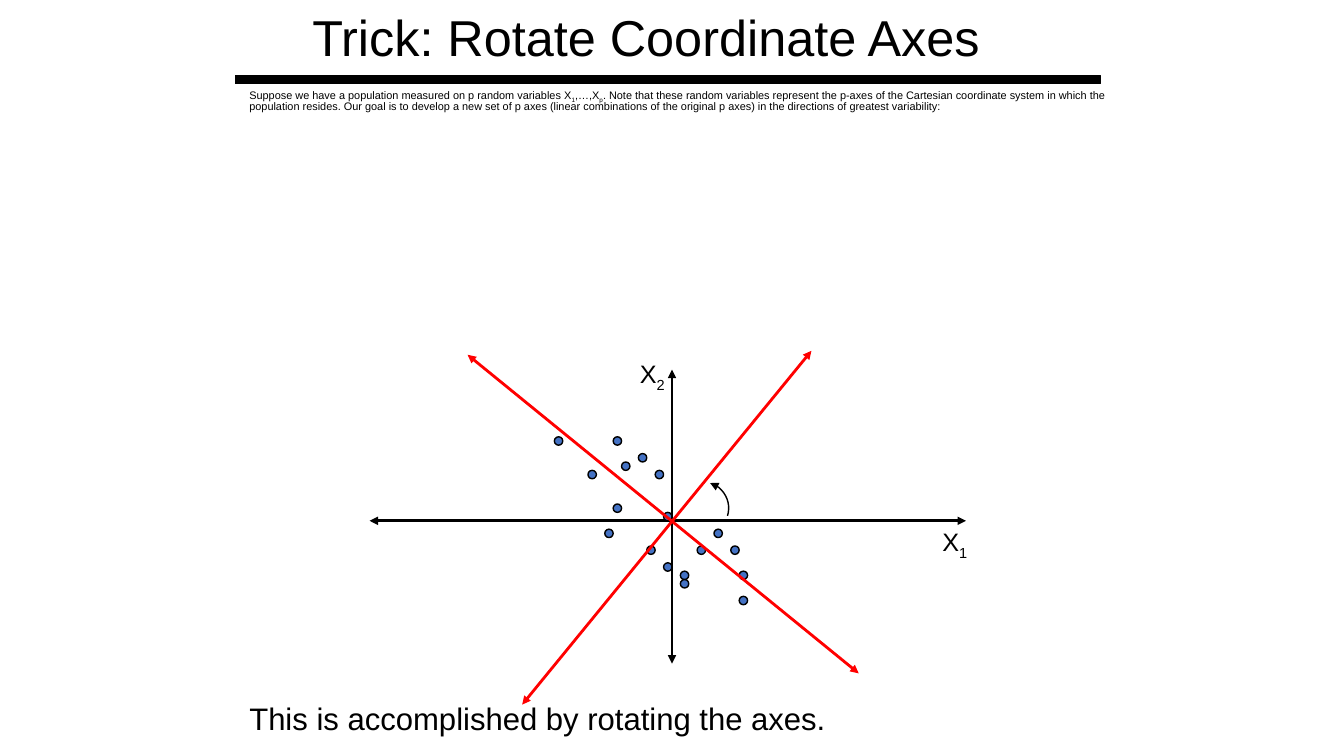
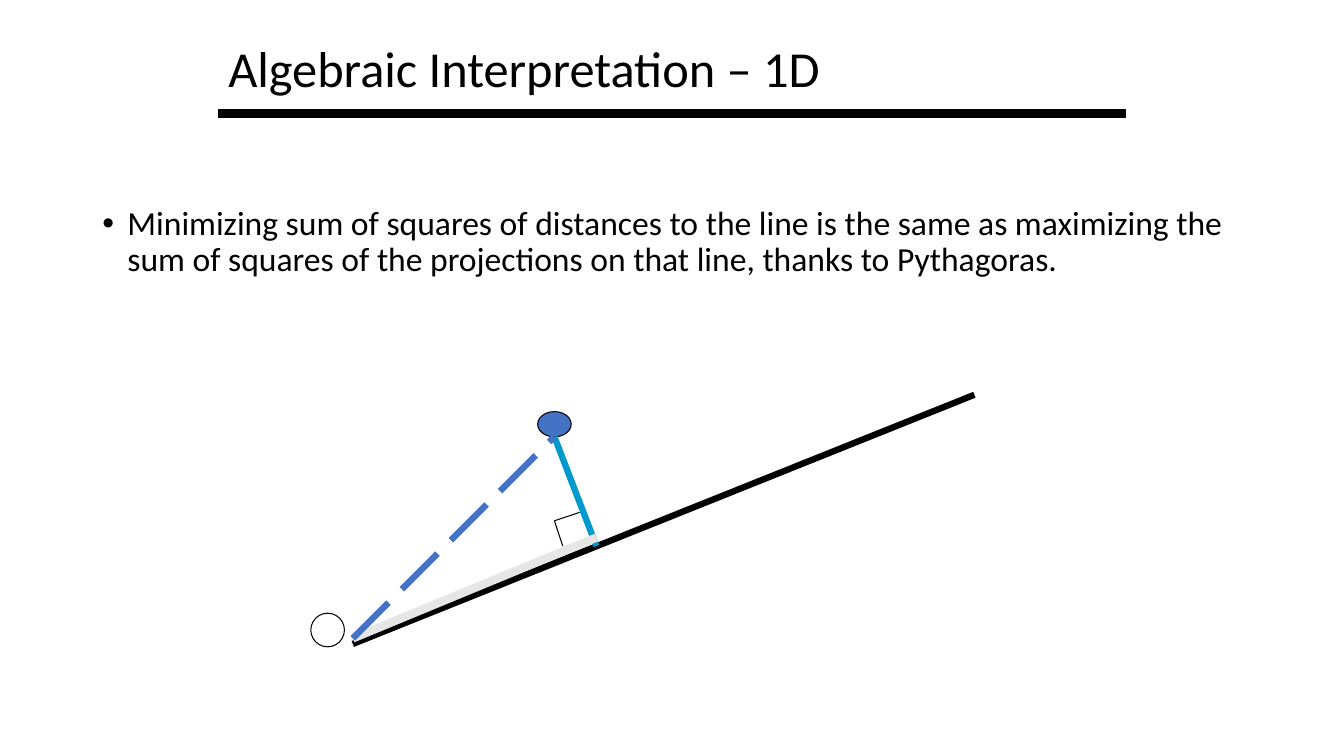
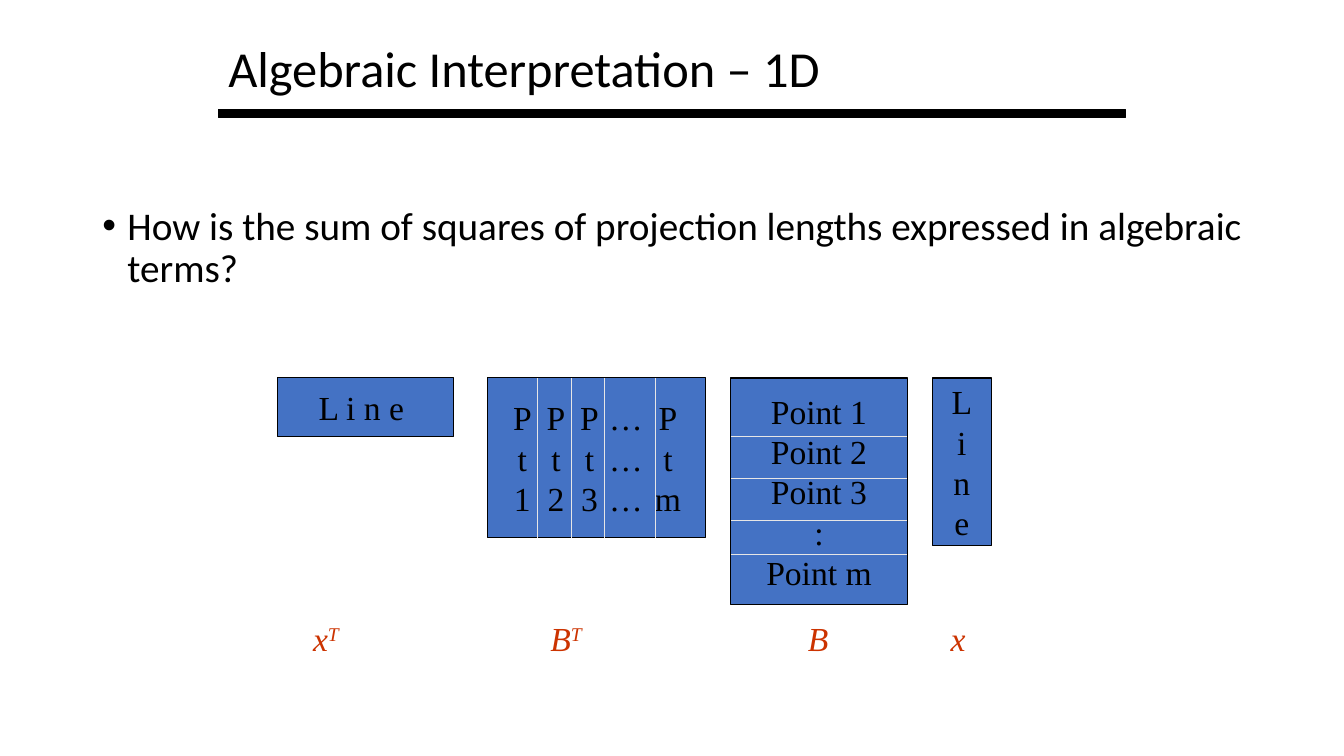
import pptx
import pptx.dml.color
import pptx.enum.dml
import pptx.enum.shapes
import pptx.enum.text
import pptx.oxml.ns
import pptx.util
from lxml import etree

Pt = pptx.util.Pt
RGBColor = pptx.dml.color.RGBColor
SHAPE = pptx.enum.shapes.MSO_SHAPE
ANCHOR = pptx.enum.text.MSO_ANCHOR
ALIGN = pptx.enum.text.PP_ALIGN
qn = pptx.oxml.ns.qn

BLACK = RGBColor(0x00, 0x00, 0x00)
BLUE = RGBColor(0x44, 0x72, 0xC4)
TEAL = RGBColor(0x00, 0x99, 0xCC)
GRAY = RGBColor(0xE7, 0xE6, 0xE6)
RED = RGBColor(0xFF, 0x00, 0x00)
RUST = RGBColor(0xCC, 0x33, 0x00)

ARIAL, CALIBRI, TIMES = "Arial", "Calibri", "Times New Roman"
SUB, SUPER = -25, 30


def add_arrowheads(sp, *ends):
    ln = sp.line._get_or_add_ln()
    for end in ends:
        etree.SubElement(ln, qn(f"a:{end}")).set("type", "triangle")


def write(sp, paras, size, font, color=BLACK, align=ALIGN.LEFT, anchor=ANCHOR.TOP,
          wrap=True, spacing=None, italic=False):
    """Fill a shape; a paragraph is a string or a list of (text, baseline) runs."""
    tf = sp.text_frame
    tf.word_wrap = wrap
    tf.vertical_anchor = anchor
    for i, para in enumerate(paras):
        p = tf.add_paragraph() if i else tf.paragraphs[0]
        p.alignment = align
        if spacing:
            p.line_spacing = spacing
        for text, baseline in [(para, 0)] if isinstance(para, str) else para:
            r = p.add_run()
            r.text = text
            r.font.size = Pt(size)
            r.font.name = font
            r.font.color.rgb = color
            r.font.italic = italic
            if baseline:
                r._r.get_or_add_rPr().set("baseline", str(baseline * 1000))
    return tf


def add_text(s, x, y, w, h, paras, size, font, **style):
    sp = s.shapes.add_textbox(Pt(x), Pt(y), Pt(w), Pt(h))
    return write(sp, paras, size, font, **style)


def indent(p, left, first=0):
    pPr = p._p.get_or_add_pPr()
    pPr.set("marL", str(Pt(left)))
    pPr.set("indent", str(Pt(first)))
    return pPr


def add_shape(s, kind, x, y, w, h, fill=None, width=0.75):
    sp = s.shapes.add_shape(kind, Pt(x), Pt(y), Pt(w), Pt(h))
    sp.shadow.inherit = False
    if fill is None:
        sp.fill.background()
    else:
        sp.fill.solid()
        sp.fill.fore_color.rgb = fill
    sp.line.color.rgb = BLACK
    sp.line.width = Pt(width)
    return sp


def add_line(s, x1, y1, x2, y2, color=BLACK, width=0.75, dash=None, arrows=False):
    cn = s.shapes.add_connector(pptx.enum.shapes.MSO_CONNECTOR.STRAIGHT,
                                Pt(x1), Pt(y1), Pt(x2), Pt(y2))
    cn.line.color.rgb = color
    cn.line.width = Pt(width)
    if dash:
        cn.line.dash_style = dash
    if arrows:
        add_arrowheads(cn, "headEnd", "tailEnd")
    etree.SubElement(cn._element.spPr, qn("a:effectLst"))


def add_bar(s, x, y, w):
    add_shape(s, SHAPE.RECTANGLE, x, y, w, 6, BLACK)


def add_algebra_frame(s, bullet, size):
    """Title, bar and bullet of the algebraic slides."""
    add_text(s, 156, 6, 648, 90, ["Algebraic Interpretation – 1D"], 36, CALIBRI,
             anchor=ANCHOR.MIDDLE, spacing=0.9)
    add_bar(s, 156, 78, 648)
    tf = add_text(s, 66, 144, 828, 72, [bullet], size, CALIBRI, spacing=0.9)
    pPr = indent(tf.paragraphs[0], 18, -18)
    etree.SubElement(pPr, qn("a:buFont")).set("typeface", ARIAL)
    etree.SubElement(pPr, qn("a:buChar")).set("char", "•")


def add_note(s, y, runs, size, spacing):
    tf = add_text(s, 144, y, 678, 34.5, [runs], size, ARIAL, spacing=spacing)
    indent(tf.paragraphs[0], 27)


def add_matrix(s, x, w, h, paras, **style):
    sp = add_shape(s, SHAPE.RECTANGLE, x, 270, w, h, BLUE)
    return write(sp, paras, 24, TIMES, anchor=ANCHOR.MIDDLE, **style)


def build_rotation(s):
    add_note(s, 499, "This is accomplished by rotating the axes.", 22.2, 0.9)
    add_note(s, 61, [
        ("Suppose we have a population measured on p random variables X", 0), ("1", SUB),
        (",…,X", 0), ("p", SUB),
        (". Note that these random variables represent the p-axes of the Cartesian "
         "coordinate system in which the population resides. Our goal is to develop a new "
         "set of p axes (linear combinations of the original p axes) in the directions of "
         "greatest variability:", 0)], 7.8, 0.8)

    add_line(s, 480, 474, 480, 264, width=2, arrows=True)
    add_line(s, 264, 372, 690, 372, width=2, arrows=True)
    for x, y, index in [(666, 372.7, "1"), (450, 252.7, "2")]:
        add_text(s, x, y, 42, 32, [[("X", 0), (index, SUB)]], 18, ARIAL)

    for x, y in [(396, 312), (420, 336), (438, 360), (432, 378), (444, 330), (456, 324),
                 (468, 336), (474, 366), (462, 390), (498, 390), (486, 408), (474, 402),
                 (486, 414), (510, 378), (522, 390), (528, 408), (528, 426), (438, 312)]:
        add_shape(s, SHAPE.OVAL, x, y, 6, 6, BLUE, 1)

    turn = add_shape(s, SHAPE.ARC, 483, 344.2, 37.5, 37.5, width=1)
    turn.rotation = 17.1
    add_arrowheads(turn, "headEnd")
    add_line(s, 373, 503.3, 579.6, 250.6, RED, 2, arrows=True)
    add_line(s, 334, 253.4, 613.4, 481, RED, 2, arrows=True)

    add_text(s, 216, 0.7, 495, 50, ["Trick: Rotate Coordinate Axes"], 36, ARIAL, wrap=False)
    add_bar(s, 168, 54, 618)


def build_projection(s):
    add_algebra_frame(s, "Minimizing sum of squares of distances to the line is the same as "
                      "maximizing the sum of squares of the projections on that line, thanks "
                      "to Pythagoras.", 24)
    add_shape(s, SHAPE.OVAL, 384, 294, 24, 18, BLUE)
    add_line(s, 252, 460, 696, 282, width=4.5)
    add_shape(s, SHAPE.OVAL, 222, 438, 24, 24)
    add_line(s, 396, 312, 426, 390, TEAL, 4.5)
    add_line(s, 252, 456, 426, 384, GRAY, 6)
    add_line(s, 252, 456, 396, 312, BLUE, 4.5, pptx.enum.dml.MSO_LINE.LONG_DASH)
    add_line(s, 414, 366, 396, 372)
    add_line(s, 396, 372, 402, 390)


def build_matrices(s):
    add_algebra_frame(s, "How is the sum of squares of projection lengths expressed in "
                      "algebraic terms?", 28)
    centred = {"align": ALIGN.CENTER, "wrap": False}
    points = [f"Point {n}" for n in "123"] + [":", "Point m"]
    add_matrix(s, 522, 126, 162, points, **centred)
    add_matrix(s, 666, 42, 120, list("Line"), **centred)
    rows = ["PPP…P", "ttt…t", "123…m"]
    tf = add_matrix(s, 348, 156, 114, ["\t" + "\t".join(row) for row in rows])
    for p in tf.paragraphs:
        tabs = etree.SubElement(p._p.get_or_add_pPr(), qn("a:tabLst"))
        for pos in (18, 42, 66, 92, 122):
            tab = etree.SubElement(tabs, qn("a:tab"))
            tab.set("pos", str(Pt(pos)))
            tab.set("algn", "ctr")
    tf = add_matrix(s, 198, 126, 42, ["L i n e"], **centred)
    tf.margin_right = Pt(13)

    for y in (312, 342, 372, 396):
        add_line(s, 522, y, 648, y, GRAY)
    for x in (384, 408, 432, 468):
        add_line(s, x, 270, x, 384, GRAY)

    for x, name, power in [(570, "B", ""), (672, "x", ""), (386, "B", "T"), (216.5, "x", "T")]:
        runs = [(name, 0)] + ([(power, SUPER)] if power else [])
        add_text(s, x, 438, 48, 36, [runs], 24, TIMES, color=RUST, italic=True)


def main():
    prs = pptx.Presentation()
    prs.slide_width, prs.slide_height = Pt(960), Pt(540)
    for build in (build_rotation, build_projection, build_matrices):
        build(prs.slides.add_slide(prs.slide_layouts[6]))
    prs.save("out.pptx")


if __name__ == "__main__":
    main()
